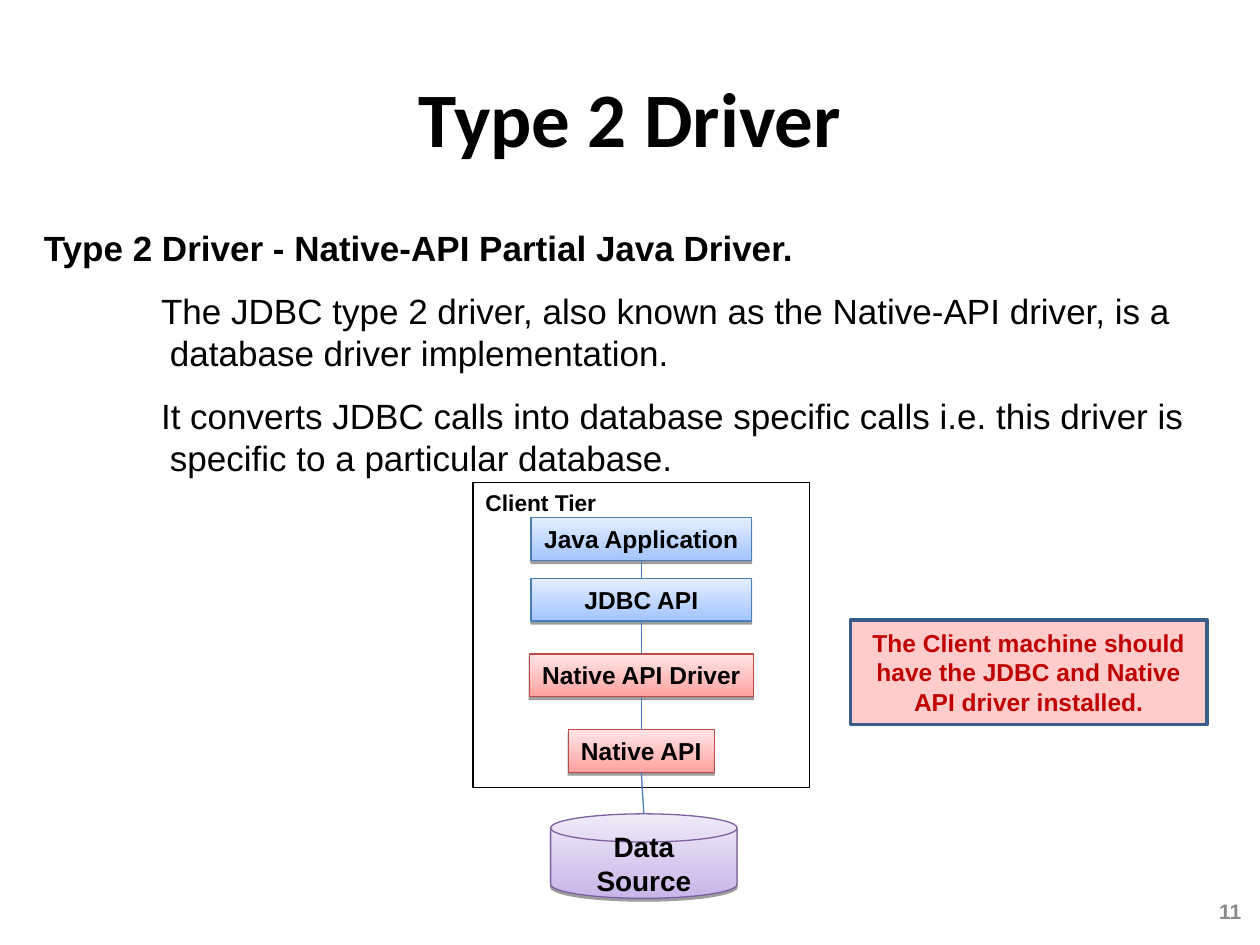
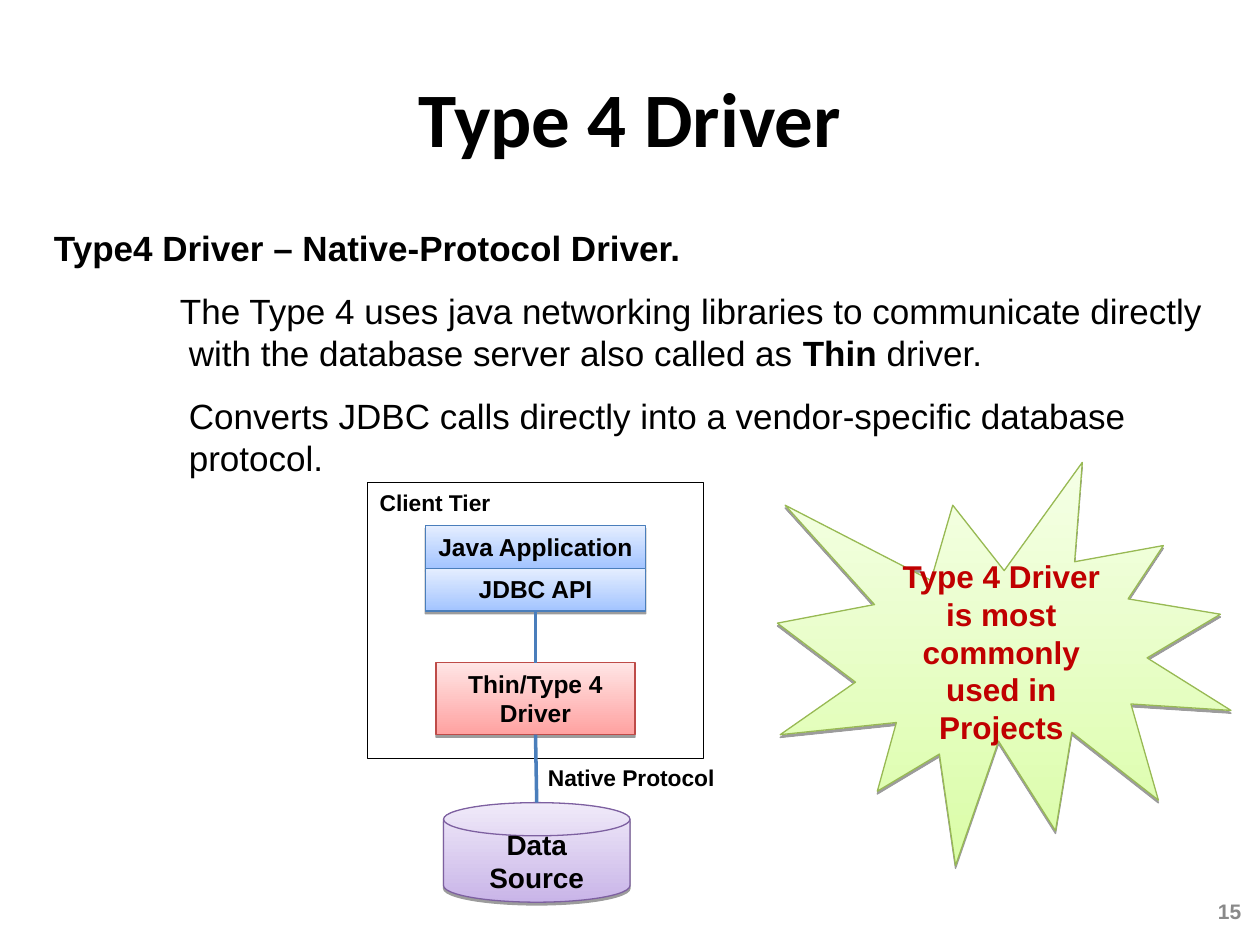
from lxml import etree
from pptx import Presentation
from pptx.dml.color import RGBColor
from pptx.enum.shapes import MSO_CONNECTOR, MSO_SHAPE as SHAPE
from pptx.enum.text import MSO_ANCHOR as ANCHOR, PP_ALIGN as ALIGN
from pptx.oxml.ns import qn
from pptx.util import Inches, Pt

BLACK, GREY, RED = "000000", "898989", "C00000"
WIRE = "4A7EBB"
# Gradient bottom, gradient top, outline
BLUE = ("A3C4FF", "E5EEFF", WIRE)
PINK = ("FFA2A1", "FFE5E5", "BE4B48")
PURPLE = ("C9B5E8", "F0EAF9", "7D60A0")
GREEN = ("DAFDA7", "F5FFE6", "98B954")

TITLE_AT = (0.5, 0.3, 9, 1.25)
NUMBER_AT = (9.46, 7.06, 0.49, 0.35)
BODY_TOP, BODY_W, BODY_H = 1.75, 9.42, 2.1
TIER_TOP, TIER_W = 3.83, 2.67
SOURCE_W = 1.48

# Body paragraphs: (left margin, first-line indent, [(text, bold), ...])
# Layers: (text, top, width, height, palette)
SLIDES = [
    {
        "title": "Type 2 Driver",
        "number": "11",
        "body_left": 0.25,
        "body": [
            (0.5, -0.5, [("Type 2 Driver - Native-API Partial Java Driver.", True)]),
            (1, -0.07, [("The JDBC type 2 driver, also known as the Native-API driver, "
                         "is a database driver implementation.", False)]),
            (1, -0.07, [("It converts JDBC calls into database specific calls i.e. "
                         "this driver is specific to a particular database.", False)]),
        ],
        "axis": 5.09,
        "tier_height": 2.42,
        "layers": [
            ("Java Application", 4.11, 1.75, 0.34, BLUE),
            ("JDBC API", 4.59, 1.75, 0.34, BLUE),
            ("Native API Driver", 5.19, 1.78, 0.34, PINK),
            ("Native API", 5.79, 1.16, 0.34, PINK),
        ],
        "source": (5.11, 6.46, 0.67),
        "wire_width": 0.75,
    },
    {
        "title": "Type 4 Driver",
        "number": "15",
        "body_left": 0.33,
        "body": [
            (0.5, -0.5, [("Type4 Driver – Native-Protocol Driver.", True)]),
            (1.07, -0.07, [("The Type 4 uses java networking libraries to communicate "
                            "directly with the database server also called as ", False),
                           ("Thin ", True), ("driver.", False)]),
            (1.07, 0, [("Converts JDBC calls directly into a vendor-specific "
                        "database protocol.", False)]),
        ],
        "axis": 4.25,
        "tier_height": 2.19,
        "layers": [
            ("Java Application", 4.17, 1.75, 0.34, BLUE),
            ("JDBC API", 4.51, 1.75, 0.34, BLUE),
            ("Thin/Type 4 Driver", 5.26, 1.58, 0.57, PINK),
        ],
        "source": (4.26, 6.37, 0.79),
        "wire_width": 2,
    },
]


def rgb(color):
    return RGBColor.from_string(color)


def box(at):
    return [Inches(v) for v in at]


def add_run(p, text, size, color=BLACK, bold=True, font="Arial"):
    r = p.add_run()
    r.text = text
    r.font.size, r.font.bold, r.font.name = Pt(size), bold, font
    r.font.color.rgb = rgb(color)


def write(sp, text, size, color=BLACK, align=ALIGN.CENTER, anchor=ANCHOR.MIDDLE,
          wrap=True, font="Arial"):
    tf = sp.text_frame
    tf.word_wrap, tf.vertical_anchor = wrap, anchor
    p = tf.paragraphs[0]
    p.alignment = align
    add_run(p, text, size, color, font=font)


def add_shape(slide, kind, at, line, width=0.75, fill=None):
    """Add a flat shape; without a fill colour it stays transparent."""
    sp = slide.shapes.add_shape(kind, *box(at))
    sp.shadow.inherit = False
    sp.line.color.rgb, sp.line.width = rgb(line), Pt(width)
    if fill:
        sp.fill.solid()
        sp.fill.fore_color.rgb = rgb(fill)
    else:
        sp.fill.background()
    return sp


def add_raised(slide, kind, at, palette):
    """Add a shape with a vertical gradient and a drop shadow."""
    bottom, top, line = palette
    sp = add_shape(slide, kind, at, line)
    sp.fill.gradient()
    sp.fill.gradient_angle = 90
    for stop, color in zip(sp.fill.gradient_stops, (bottom, top)):
        stop.color.rgb = rgb(color)
    effects = sp._element.spPr.find(qn("a:effectLst"))
    shadow = etree.SubElement(effects, qn("a:outerShdw"), blurRad="0", dist="20000",
                              dir="5400000", rotWithShape="0")
    color = etree.SubElement(shadow, qn("a:srgbClr"), val=BLACK)
    etree.SubElement(color, qn("a:alpha"), val="38000")
    return sp


def add_wire(slide, start, end, width):
    """Join the bottom of one box to the top of the next, or to an (x, y) point."""
    to_point = isinstance(end, tuple)
    x, y = box(end) if to_point else (end.left, end.top)
    wire = slide.shapes.add_connector(MSO_CONNECTOR.STRAIGHT, start.left, start.top, x, y)
    wire.begin_connect(start, 2)
    if not to_point:
        wire.end_connect(end, 0)
    wire.line.color.rgb, wire.line.width = rgb(WIRE), Pt(width)
    etree.SubElement(wire._element.spPr, qn("a:effectLst"))


def add_body(slide, left, paragraphs):
    tf = slide.shapes.add_textbox(*box((left, BODY_TOP, BODY_W, BODY_H))).text_frame
    tf.word_wrap = True
    for i, (margin, indent, runs) in enumerate(paragraphs):
        p = tf.add_paragraph() if i else tf.paragraphs[0]
        pPr = p._p.get_or_add_pPr()
        pPr.set("marL", str(Inches(margin)))
        pPr.set("indent", str(Inches(indent)))
        if i:
            p.space_before = Pt(12)
        for text, bold in runs:
            add_run(p, text, 20, bold=bold)


def add_tier_diagram(slide, data):
    axis, width = data["axis"], data["wire_width"]
    tier = add_shape(slide, SHAPE.RECTANGLE,
                     (axis - TIER_W / 2, TIER_TOP, TIER_W, data["tier_height"]), BLACK)
    write(tier, "Client Tier", 13, align=ALIGN.LEFT, anchor=ANCHOR.TOP)

    layers = []
    for text, top, w, h, palette in data["layers"]:
        sp = add_raised(slide, SHAPE.RECTANGLE, (axis - w / 2, top, w, h), palette)
        write(sp, text, 14, anchor=ANCHOR.TOP, wrap=h > 0.5)
        layers.append(sp)

    center, top, h = data["source"]
    source = add_raised(slide, SHAPE.FLOWCHART_MAGNETIC_DISK,
                        (center - SOURCE_W / 2, top, SOURCE_W, h), PURPLE)
    write(source, "Data Source", 16)

    for upper, lower in zip(layers, layers[1:]):
        if lower.top - upper.top - upper.height > Inches(0.05):
            add_wire(slide, upper, lower, width)
    add_wire(slide, layers[-1], (center, top), width)


def add_driver_slide(prs, data):
    slide = prs.slides.add_slide(prs.slide_layouts[5])
    title = slide.shapes.title
    title.left, title.top, title.width, title.height = box(TITLE_AT)
    write(title, data["title"], 44, font="Calibri")
    write(slide.shapes.add_textbox(*box(NUMBER_AT)), data["number"], 12, GREY, ALIGN.RIGHT)
    add_body(slide, data["body_left"], data["body"])
    add_tier_diagram(slide, data)
    return slide


def main():
    prs = Presentation()
    prs.slide_width, prs.slide_height = Inches(10), Inches(7.5)
    type2, type4 = [add_driver_slide(prs, data) for data in SLIDES]

    note = add_shape(type2, SHAPE.RECTANGLE, (6.75, 4.92, 2.83, 0.83), "385D8A", 2, "FFCCCC")
    write(note, "The Client machine should have the JDBC and Native API driver installed.",
          14, RED)

    protocol = type4.shapes.add_textbox(*box((4.25, 6.01, 1.52, 0.32)))
    write(protocol, "Native Protocol", 13, align=ALIGN.LEFT, anchor=ANCHOR.TOP, wrap=False)
    burst = add_raised(type4, SHAPE.EXPLOSION1, (6.17, 3.67, 3.6, 3.2), GREEN)
    write(burst, "Type 4 Driver is most commonly used in Projects", 18, RED)

    prs.save("out.pptx")


if __name__ == "__main__":
    main()
